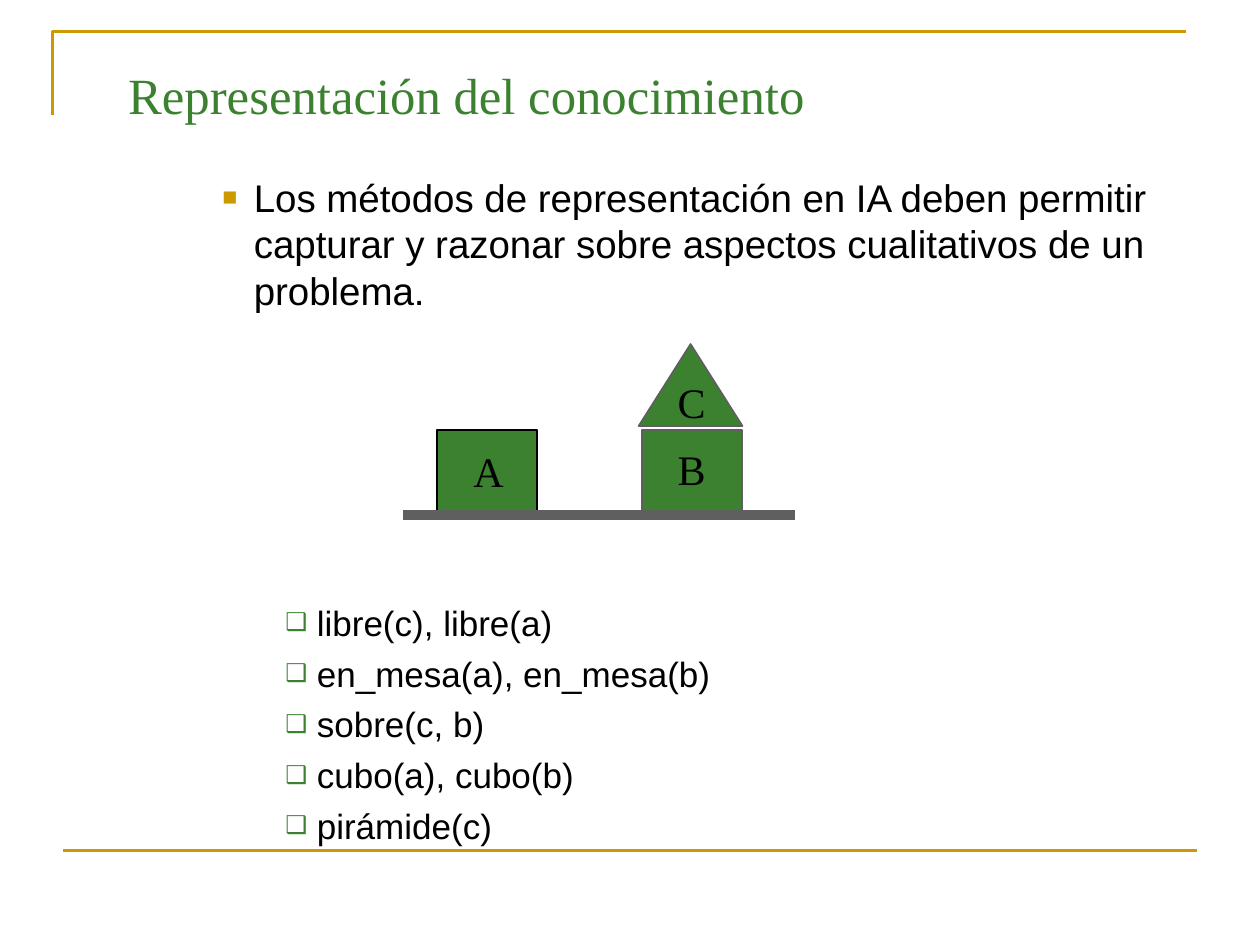
import pptx
import pptx.util
import pptx.dml.color
import pptx.enum.shapes
import pptx.enum.text
import pptx.oxml.ns
import lxml.etree

Pt = pptx.util.Pt
RGB = pptx.dml.color.RGBColor.from_string
Kind = pptx.enum.shapes.MSO_SHAPE
Anchor = pptx.enum.text.MSO_ANCHOR
Align = pptx.enum.text.PP_ALIGN
qn = pptx.oxml.ns.qn

theme = {
    "gold": "CC9900", "green": "3B812F", "gray": "5F5F5F", "black": "000000",
    "serif": "Times New Roman", "sans": "Arial",
    "title": 29, "claim": 22, "fact": 20, "label": 24,
}


def style(para, font, size, color):
    for run in para.runs:
        run.font.name = theme[font]
        run.font.size = Pt(theme[size])
        run.font.color.rgb = RGB(theme[color])


def rule(x1, x2, y, color, width):
    line = slide.shapes.add_connector(
        pptx.enum.shapes.MSO_CONNECTOR.STRAIGHT, Pt(x1), Pt(y), Pt(x2), Pt(y))
    line.line.color.rgb = RGB(theme[color])
    line.line.width = Pt(width)
    lxml.etree.SubElement(line._element.spPr, qn("a:effectLst"))


deck = pptx.Presentation()
deck.slide_width, deck.slide_height = Pt(720), Pt(540)
slide = deck.slides.add_slide(deck.slide_layouts[5])

pen = slide.shapes.build_freeform(Pt(30), Pt(66))
pen.add_line_segments([(Pt(30), Pt(18)), (Pt(678), Pt(18))], close=False)
frame = pen.convert_to_shape()
frame.shadow.inherit = False
frame.fill.background()
frame.line.color.rgb = RGB(theme["gold"])
frame.line.width = Pt(1.5)
rule(36, 684, 486, "gold", 1.5)

title = slide.shapes.title
title.left, title.top, title.width, title.height = Pt(66), Pt(24), Pt(612), Pt(60)
title.text_frame.text = "Representación del conocimiento"
title.text_frame.vertical_anchor = Anchor.MIDDLE
title.text_frame.paragraphs[0].alignment = Align.LEFT
style(title.text_frame.paragraphs[0], "serif", "title", "green")

claim = ("Los métodos de representación en IA deben permitir capturar y razonar "
         "sobre aspectos cualitativos de un problema.")
facts = ["libre(c), libre(a)", "en_mesa(a), en_mesa(b)", "sobre(c, b)",
         "cubo(a), cubo(b)", "pirámide(c)"]
items = [(claim, 2, 90, 0, "■", "gold", 65, "claim")]
for i, fact in enumerate(facts):
    items.append((fact, 3, 126, 5 if i else 165, "❑", "green", 70, "fact"))

body = slide.shapes.add_textbox(Pt(48), Pt(96), Pt(642), Pt(391)).text_frame
body.word_wrap = True
body.text = "\n".join(item[0] for item in items)
for para, (text, level, left, gap, mark, tint, scale, size) in zip(body.paragraphs, items):
    para.level = level
    props = para._p.get_or_add_pPr()
    props.set("marL", str(Pt(left)))
    props.set("indent", str(Pt(-18)))
    color = lxml.etree.SubElement(props, qn("a:buClr"))
    lxml.etree.SubElement(color, qn("a:srgbClr"), val=theme[tint])
    lxml.etree.SubElement(props, qn("a:buSzPct"), val=str(scale * 1000))
    lxml.etree.SubElement(props, qn("a:buFont"), typeface=theme["sans"])
    lxml.etree.SubElement(props, qn("a:buChar"), char=mark)
    para.space_before = Pt(gap)
    style(para, "sans", size, "black")

blocks = [
    ("A", Kind.RECTANGLE, 249.8, 245.5, 57, "black", 263.5, 251.3),
    ("B", Kind.RECTANGLE, 367, 245.5, 57, "gray", 380.2, 249.8),
    ("C", Kind.ISOSCELES_TRIANGLE, 365, 196.6, 59.3, "gray", 380.2, 211.7),
]
for name, kind, left, top, width, edge, x, y in blocks:
    block = slide.shapes.add_shape(kind, Pt(left), Pt(top), Pt(width), Pt(46.8))
    block.shadow.inherit = False
    block.fill.solid()
    block.fill.fore_color.rgb = RGB(theme["green"])
    block.line.color.rgb = RGB(theme[edge])
    block.line.width = Pt(1)
    label = slide.shapes.add_textbox(Pt(x), Pt(y), Pt(31), Pt(36)).text_frame
    label.word_wrap = False
    label.text = name
    style(label.paragraphs[0], "serif", "label", "black")

rule(230.4, 454.3, 294.3, "gray", 6)

deck.save("out.pptx")
